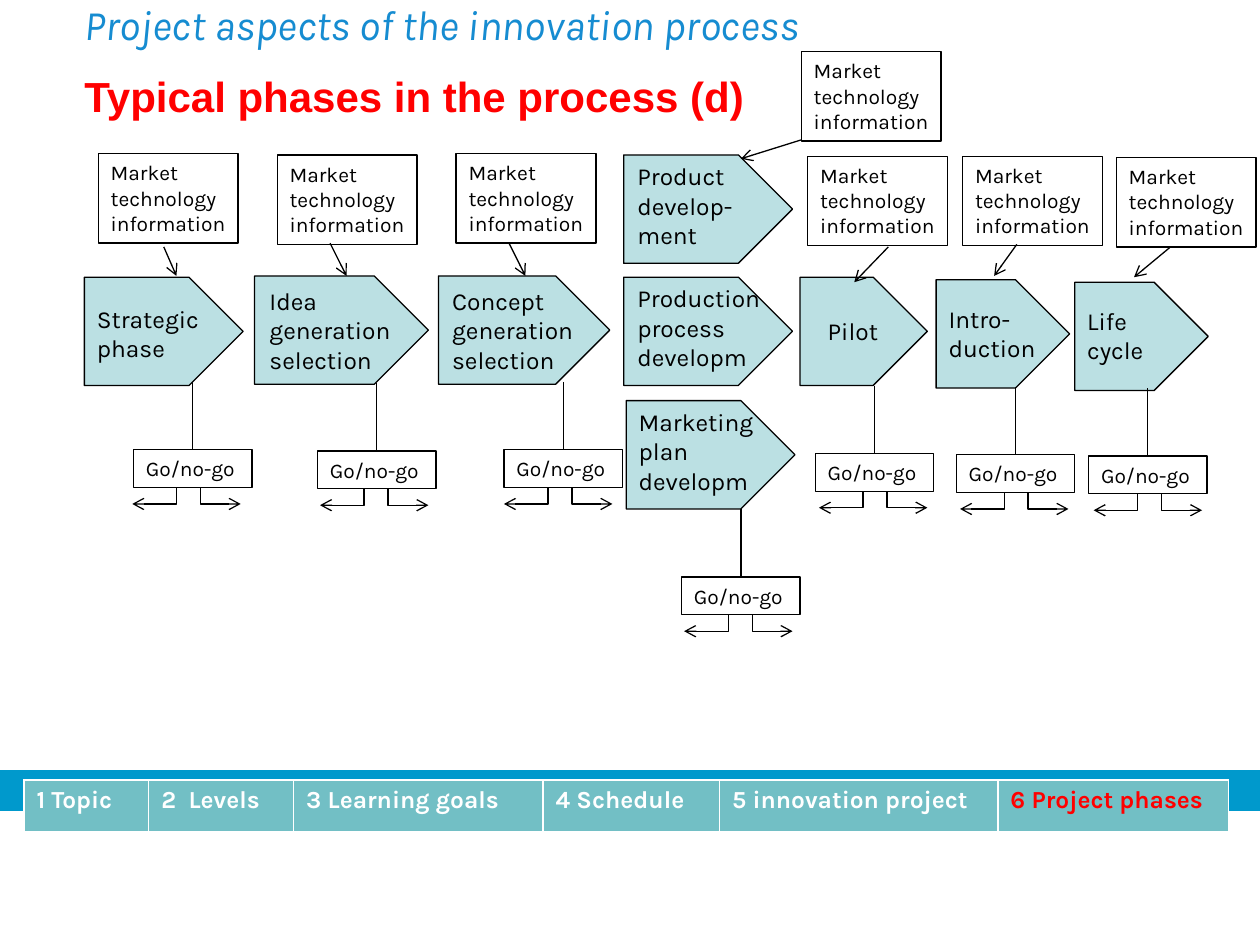
from lxml import etree
from pptx import Presentation
from pptx.dml.color import RGBColor
from pptx.enum.shapes import MSO_CONNECTOR as LINK, MSO_SHAPE as SHAPE
from pptx.enum.text import MSO_ANCHOR as ANCHOR, MSO_AUTO_SIZE as FIT, PP_ALIGN as ALIGN
from pptx.oxml.ns import qn
from pptx.util import Inches, Pt

BLACK = RGBColor(0x00, 0x00, 0x00)
WHITE = RGBColor(0xFF, 0xFF, 0xFF)
RED = RGBColor(0xFF, 0x00, 0x00)
BLUE = RGBColor(0x16, 0x8C, 0xD1)
BAND = RGBColor(0x00, 0x99, 0xCC)
PALE = RGBColor(0xBB, 0xE0, 0xE3)
TEAL = RGBColor(0x72, 0xBF, 0xC5)


def write(frame, text, size=12, color=BLACK, font="Karla", bold=False,
          italic=False, before=0, more=False):
    """Fill the frame, or with more=True add to it; each line is a paragraph."""
    frame.word_wrap = True
    frame.vertical_anchor = ANCHOR.TOP
    for line in text.split("\n"):
        para = frame.add_paragraph() if more else frame.paragraphs[0]
        more = True
        para.alignment = ALIGN.LEFT
        para.space_before = Pt(before)
        run = para.add_run()
        run.text = line
        run.font.name = font
        run.font.size = Pt(size)
        run.font.bold = bold
        run.font.italic = italic
        run.font.color.rgb = color


def link(x1, y1, x2, y2, kind=LINK.STRAIGHT, arrow=True):
    line = slide.shapes.add_connector(kind, Inches(x1), Inches(y1), Inches(x2), Inches(y2))
    line.line.color.rgb = BLACK
    line.line.width = Pt(0.75)
    if arrow:
        etree.SubElement(line.line._get_or_add_ln(), qn("a:tailEnd"), type="arrow")
    props = line._element.spPr
    etree.SubElement(props, qn("a:effectLst"))
    if kind == LINK.ELBOW:  # turn right at the start: down first, then sideways
        geom = props.find(qn("a:prstGeom"))
        guides = geom.find(qn("a:avLst"))
        if guides is None:
            guides = etree.SubElement(geom, qn("a:avLst"))
        etree.SubElement(guides, qn("a:gd"), name="adj1", fmla="val 0")
    return line


deck = Presentation()
deck.slide_width = Inches(10)
deck.slide_height = Inches(7.5)
slide = deck.slides.add_slide(deck.slide_layouts[5])
boxes = []  # shape, fill, line

band = slide.shapes.add_shape(SHAPE.RECTANGLE, 0, Inches(6.12), Inches(10), Inches(0.31))
boxes.append((band, BAND, BAND))

# Heading
title = slide.shapes.title
title.left, title.top = Inches(0.57), Inches(-0.06)
title.width, title.height = Inches(9.4), Inches(1.1)
head = title.text_frame
head.auto_size = FIT.NONE
write(head, "Project aspects of the innovation process", size=24, color=BLUE, italic=True)
write(head, "Typical phases in the process (d)", size=24, color=RED, font="Arial",
      bold=True, before=12, more=True)

# Phases: left, top, width, then the label with its left, top, width
phases = [
    (0.67, 2.2, 1.26, "Strategic phase", 0.67, 2.36, 1.11),
    (2.02, 2.19, 1.38, "Idea generation selection", 2.04, 2.22, 1.22),
    (3.48, 2.19, 1.36, "Concept generation selection", 3.49, 2.22, 1.2),
    (4.95, 2.2, 1.34, "Production process developm", 4.96, 2.2, 1.18),
    (4.95, 1.23, 1.34, "Product develop-ment", 4.96, 1.23, 1.18),
    (4.97, 3.18, 1.34, "Marketing plan\ndevelopm", 4.97, 3.18, 1.18),
    (6.35, 2.2, 1.01, "Pilot", 6.47, 2.46, 0.89),
    (7.43, 2.22, 1.06, "Intro-duction", 7.43, 2.36, 0.93),
    (8.53, 2.24, 1.06, "Life cycle", 8.53, 2.38, 0.93),
]
for x, y, w, text, left, top, wide in phases:
    phase = slide.shapes.add_shape(SHAPE.PENTAGON, Inches(x), Inches(y), Inches(w), Inches(0.86))
    boxes.append((phase, PALE, BLACK))
    label = slide.shapes.add_textbox(Inches(left), Inches(top), Inches(wide), Inches(0.81))
    write(label.text_frame, text, size=14)

# Gates: left and top of the box, middle of the fork below it
gates = [(1.06, 3.57, 1.5), (2.52, 3.58, 2.99), (4, 3.57, 4.45), (5.41, 4.58, 5.88),
         (6.47, 3.6, 6.95), (7.59, 3.61, 8.07), (8.64, 3.62, 9.13)]
for x, y, mid in gates:
    gate = slide.shapes.add_shape(SHAPE.RECTANGLE, Inches(x), Inches(y), Inches(0.94), Inches(0.3))
    boxes.append((gate, None, BLACK))
    write(gate.text_frame, "Go/no-go")
    stem = link(x + 0.47, y - 0.54, x + 0.47, y, arrow=False)
    stem.end_connect(gate, 0)
    foot = y + 0.3
    for start, end in ((0.09, 0.41), (-0.1, -0.45)):
        link(mid + start, foot, mid + end, foot + 0.13, kind=LINK.ELBOW)

# Notes: left and top of the box, then the start and end of its arrow
notes = [
    (0.78, 1.22, 1.3, 1.96, 1.4, 2.19),
    (2.2, 1.23, 2.62, 1.93, 2.75, 2.19),
    (3.62, 1.22, 4.04, 1.93, 4.17, 2.19),
    (6.36, 0.41, 6.36, 1.11, 5.88, 1.26),
    (6.41, 1.24, 7.05, 1.96, 6.78, 2.24),
    (7.64, 1.24, 8.07, 1.94, 7.89, 2.19),
    (8.86, 1.25, 9.29, 1.96, 9, 2.2),
]
for x, y, *ends in notes:
    note = slide.shapes.add_shape(SHAPE.RECTANGLE, Inches(x), Inches(y), Inches(1.11), Inches(0.71))
    boxes.append((note, None, BLACK))
    write(note.text_frame, "Market technology information")
    link(*ends)

for box, fill, edge in boxes:
    box.shadow.inherit = False
    box.line.color.rgb = edge
    box.line.width = Pt(0.75)
    if fill is None:
        box.fill.background()
    else:
        box.fill.solid()
        box.fill.fore_color.rgb = fill

# Chapter bar
topics = [("1 Topic", 0.99), ("2  Levels", 1.15), ("3 Learning goals", 1.98),
          ("4 Schedule", 1.4), ("5 innovation project", 2.21), ("6 Project phases", 1.83)]
bar = slide.shapes.add_table(1, len(topics), Inches(0.19), Inches(6.19),
                             Inches(9.56), Inches(0.41)).table
for i, (text, wide) in enumerate(topics):
    bar.columns[i].width = Inches(wide)
    cell = bar.cell(0, i)
    cell.fill.solid()
    cell.fill.fore_color.rgb = TEAL
    color = RED if i == len(topics) - 1 else WHITE
    write(cell.text_frame, text, size=14, color=color, bold=True)

deck.save("out.pptx")
